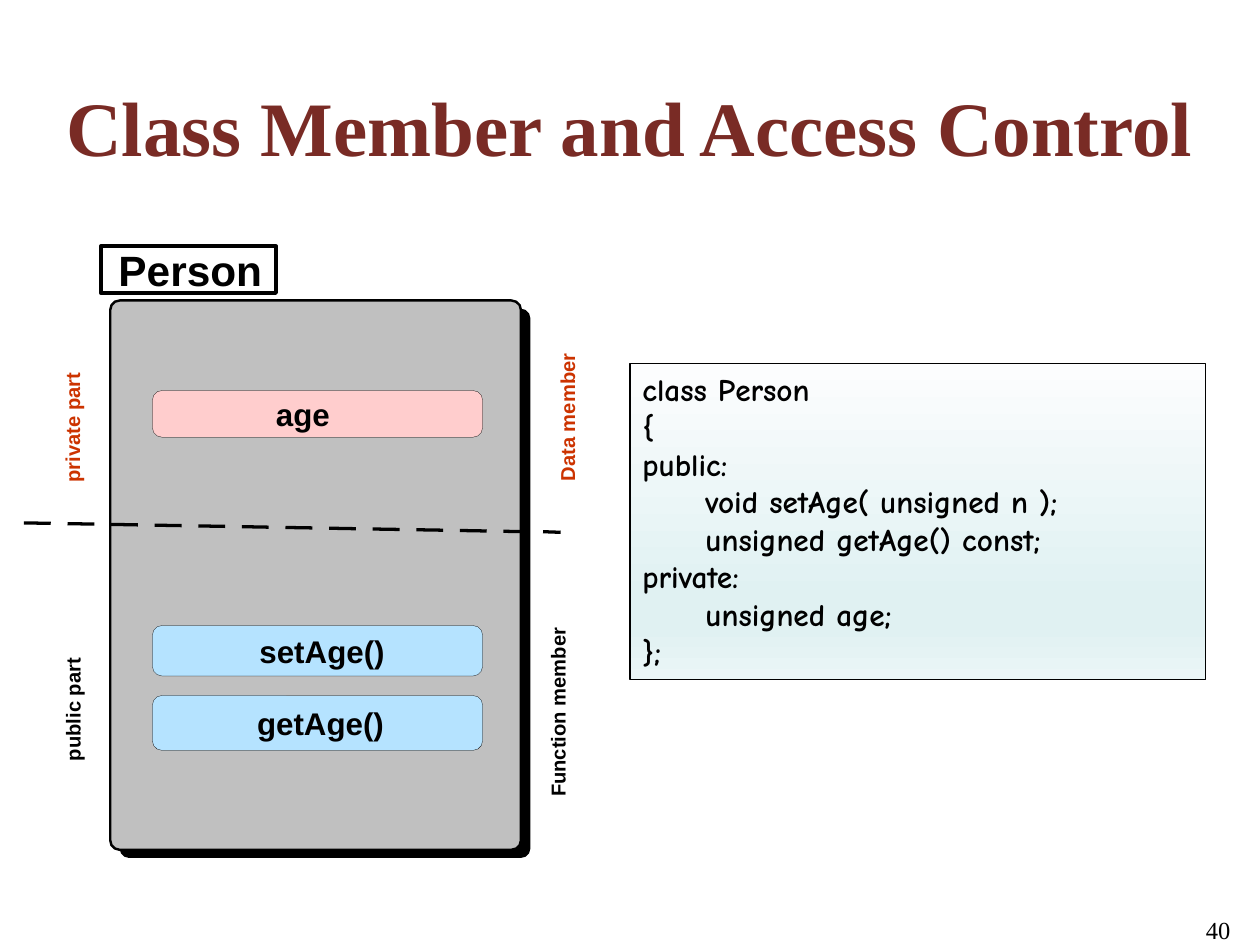
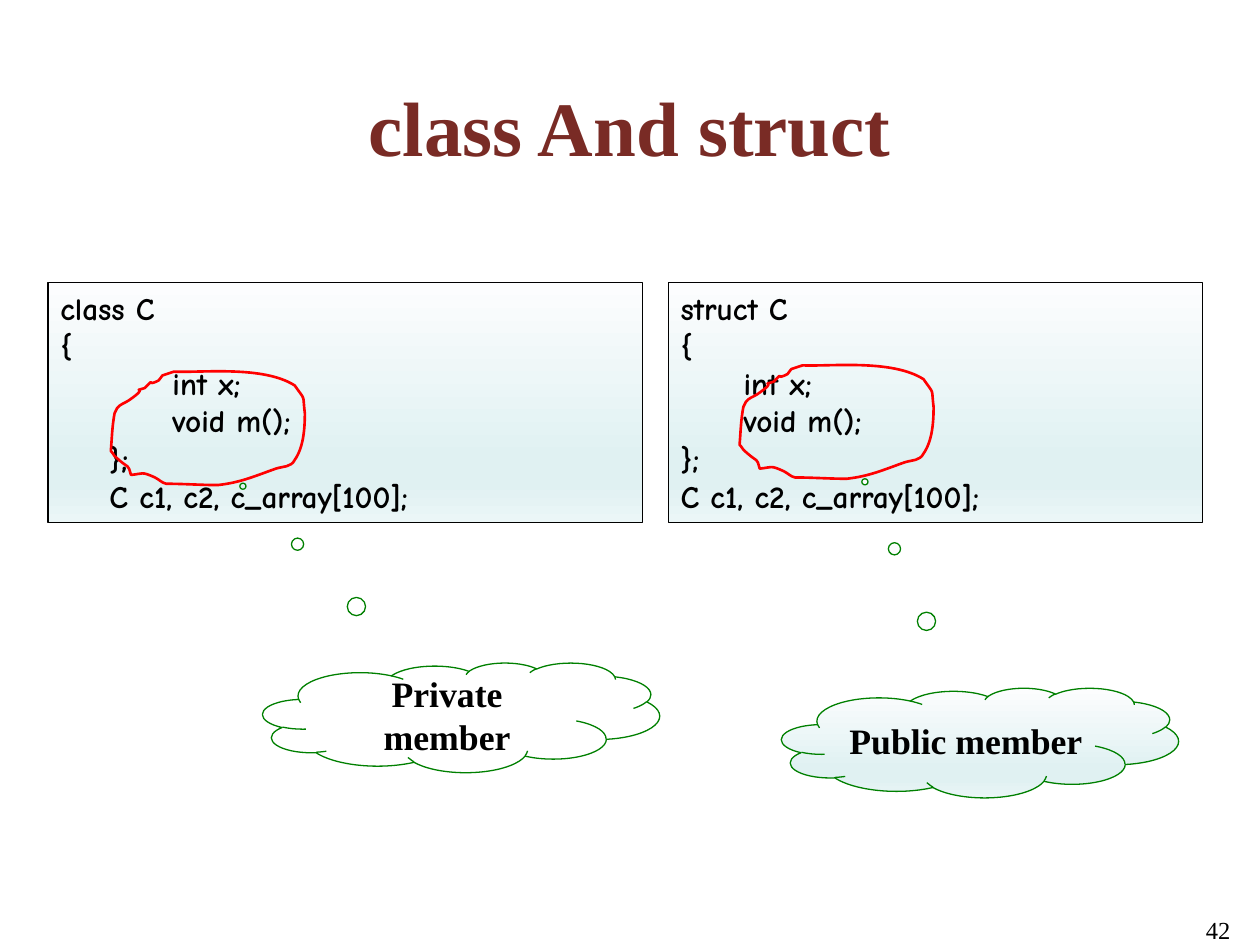
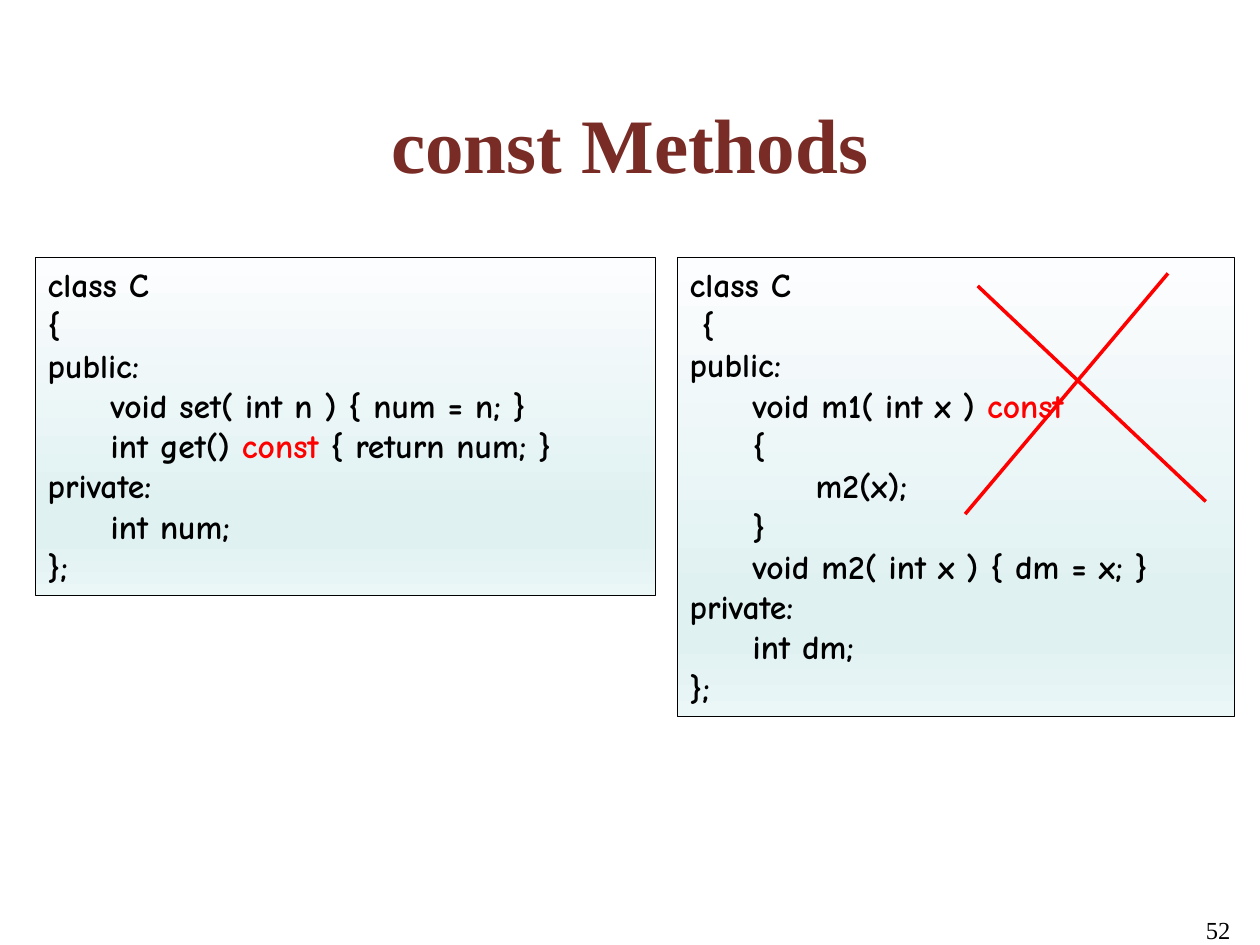
"""Build three slides on class members, access control and const methods."""
from copy import deepcopy

from lxml.etree import SubElement
from pptx import Presentation
from pptx.dml.color import RGBColor
from pptx.enum.shapes import MSO_CONNECTOR, MSO_SHAPE
from pptx.enum.text import MSO_ANCHOR, PP_ALIGN
from pptx.oxml.ns import qn
from pptx.util import Inches, Pt

BLACK = RGBColor(0x00, 0x00, 0x00)
MAROON = RGBColor(0x79, 0x2B, 0x25)
RED = RGBColor(0xFF, 0x00, 0x00)
RUST = RGBColor(0xCC, 0x33, 0x00)
GREEN = RGBColor(0x00, 0x80, 0x00)
GRAY = RGBColor(0xC0, 0xC0, 0xC0)
PINK = RGBColor(0xFF, 0xCD, 0xCD)
BLUE = RGBColor(0xB5, 0xE3, 0xFF)
PALE = RGBColor(0xFC, 0xFD, 0xFE)
MIST = RGBColor(0xE0, 0xF1, 0xF2)
HAZE = RGBColor(0xEB, 0xF6, 0xF7)
SHADE = ((0, PALE), (0.74, MIST), (0.83, MIST), (1, HAZE))

SERIF, SANS, HAND = "Times New Roman", "Arial", "Comic Neue"
COLS, ROWS = 100, 75
STEP = 6.13

LOOP = (
    (13, 77, 16, 84, 3, 72), (2, 70, 0, 68, 0, 68), (1, 56, 1, 49, 3, 38),
    (4, 37, 4, 35, 5, 34), (7, 31, 11, 30, 14, 28), (33, 15, 14, 22, 27, 18),
    (37, 8, 26, 18, 38, 12), (39, 11, 40, 9, 41, 8), (44, 7, 50, 5, 50, 5),
    (72, 6, 121, 0, 146, 16), (155, 29, 152, 22, 154, 38),
    (154, 50, 153, 65, 146, 75), (143, 81, 137, 80, 131, 82),
    (114, 88, 103, 93, 85, 95), (71, 95, 58, 94, 44, 94),
    (40, 93, 39, 91, 35, 89), (24, 84, 26, 86, 16, 87),
)

PERSON = """class Person
{
public:
\tvoid setAge( unsigned n );
\tunsigned getAge() const;
private:
\tunsigned age;
};"""

MEMBERS = """ C
{
\tint x;
\tvoid m();
};
C c1, c2, c_array[100];"""

GOOD = """class C
{
public:
\tvoid set( int n ) { num = n; }
\tint get() const { return num; }
private:
\tint num;
};"""

BAD = """class C
 {
public:
\tvoid m1( int x ) const
\t{
   \t\tm2(x);\t
\t}
\tvoid m2( int x ) { dm = x; }
private:
\tint dm;
};"""


class Deck:
    """Hold the style, the grid and the current slide."""

    def __init__(self):
        """Start an empty deck with its grid."""
        self.prs = Presentation()
        self.prs.slide_width, self.prs.slide_height = Inches(10), Inches(7.5)
        self.col = self.prs.slide_width / COLS
        self.row = self.prs.slide_height / ROWS
        self.slide = None

    def place(self, x, y, w, h):
        """Turn grid units into lengths."""
        return (round(x * self.col), round(y * self.row),
                round(w * self.col), round(h * self.row))

    def style(self, part, size, name, color=BLACK, bold=True):
        """Format the font of a run."""
        font = part.font
        font.size, font.name, font.bold = Pt(size), name, bold
        font.color.rgb = color

    def start(self, title, number, top=6.2):
        """Add a slide with its title and number."""
        self.slide = self.prs.slides.add_slide(self.prs.slide_layouts[5])
        self.text((73.65, 72.1, 25, 5.2), number, 14, SERIF, bold=False,
                  align=PP_ALIGN.RIGHT, inset=(1, 0.5))
        head = self.slide.shapes.title
        head.left, head.top, head.width, head.height = self.place(3.3, top, 93.4, 7.6)
        frame = head.text_frame
        frame.text = title
        frame.vertical_anchor = MSO_ANCHOR.MIDDLE
        para = frame.paragraphs[0]
        para.alignment = PP_ALIGN.CENTER
        self.style(para.runs[0], 44, SERIF, MAROON)

    def text(self, spot, words, size, name=SANS, color=BLACK, bold=True,
             align=PP_ALIGN.LEFT, inset=(0, 0), turn=0):
        """Add one line of text."""
        box = self.slide.shapes.add_textbox(*self.place(*spot))
        box.rotation = turn
        frame = box.text_frame
        frame.word_wrap = False
        side, edge, _, _ = self.place(*inset, 0, 0)
        frame.margin_left = frame.margin_right = side
        frame.margin_top = frame.margin_bottom = edge
        frame.text = words
        para = frame.paragraphs[0]
        para.alignment = align
        self.style(para.runs[0], size, name, color, bold)

    def paint(self, shape, fill=None, line=None, width=0.75):
        """Set the fill and line of a shape."""
        shape.shadow.inherit = False
        if fill is SHADE:
            shape.fill.gradient()
            shape.fill.gradient_angle = 270
            stops = shape._element.spPr.find(".//" + qn("a:gsLst"))
            for _ in SHADE[2:]:
                stops.append(deepcopy(stops[0]))
            for stop, (share, color) in zip(shape.fill.gradient_stops, SHADE):
                stop.position, stop.color.rgb = share, color
        elif fill is not None:
            shape.fill.solid()
            shape.fill.fore_color.rgb = fill
        else:
            shape.fill.background()
        if line is not None:
            shape.line.color.rgb = line
            shape.line.width = Pt(width)
        else:
            shape.line.fill.background()

    def shape(self, kind, spot, fill=None, line=None, width=0.75):
        """Add a preset shape."""
        item = self.slide.shapes.add_shape(kind, *self.place(*spot))
        self.paint(item, fill, line, width)
        return item

    def card(self, spot, fill, width=None):
        """Add a box with small round corners."""
        line = BLACK if width else None
        item = self.shape(MSO_SHAPE.ROUNDED_RECTANGLE, spot, fill, line, width)
        item.adjustments[0] = 0.75 / min(spot[2:])

    def tabs(self, para, push):
        """Set the indent and the tab stops of a paragraph."""
        props = para._p.get_or_add_pPr()
        props.set("marL", str(round(push * self.col)))
        props.set("indent", "0")
        stops = SubElement(props, qn("a:tabLst"))
        for i in (1, 2, 3):
            SubElement(stops, qn("a:tab"), pos=str(round(i * STEP * self.col)), algn="l")

    def code(self, spot, lines, size=17.9, hot=None, push=0, first=0):
        """Add a box of code, with one word in red and some lines pushed in."""
        box = self.shape(MSO_SHAPE.RECTANGLE, spot, SHADE, BLACK)
        frame = box.text_frame
        frame.word_wrap = True
        frame.vertical_anchor = MSO_ANCHOR.TOP
        for i, line in enumerate(lines.split("\n")):
            para = frame.paragraphs[0] if i == 0 else frame.add_paragraph()
            self.tabs(para, push if i >= first else 0)
            para.alignment = PP_ALIGN.LEFT
            for bit in line.partition(hot) if hot else (line,):
                if bit:
                    run = para.add_run()
                    run.text = bit
                    self.style(run, size, HAND, RED if bit == hot else BLACK)

    def line(self, x, y, end, low, color=BLACK, width=1.88):
        """Add a straight line."""
        item = self.slide.shapes.add_connector(
            MSO_CONNECTOR.STRAIGHT, *self.place(x, y, end, low))
        item.line.color.rgb = color
        item.line.width = Pt(width)
        SubElement(item._element.spPr, qn("a:effectLst"))

    def cloud(self, spot, words, tail, fill=None):
        """Add a thought cloud."""
        item = self.shape(MSO_SHAPE.CLOUD_CALLOUT, spot, fill, GREEN)
        item.adjustments[0], item.adjustments[1] = tail
        frame = item.text_frame
        frame.word_wrap = True
        frame.vertical_anchor = MSO_ANCHOR.MIDDLE
        frame.text = words
        para = frame.paragraphs[0]
        para.alignment = PP_ALIGN.CENTER
        self.style(para.runs[0], 20.4, SERIF)

    def loop(self, x, y):
        """Draw a red loop by hand, with each side bent into a curve."""
        unit = self.col / 10
        pen = self.slide.shapes.build_freeform(*LOOP[-1][-2:], scale=unit)
        pen.add_line_segments([bend[-2:] for bend in LOOP], close=True)
        item = pen.convert_to_shape(*self.place(x, y, 0, 0)[:2])
        sides = item._element.spPr.findall(".//" + qn("a:lnTo"))
        for side, bend in zip(sides, LOOP):
            side.tag = qn("a:cubicBezTo")
            side.clear()
            for a, b in zip(bend[::2], bend[1::2]):
                SubElement(side, qn("a:pt"), x=str(a), y=str(b - 5))
        self.paint(item, None, RED, 1.5)


def access(deck):
    """Show the parts of a class."""
    deck.start("Class Member and Access Control", "40")
    deck.code((50, 28.85, 45.7, 25.1), PERSON)
    deck.card((9.5, 24.5, 32.6, 43.6), BLACK)
    deck.card((8.75, 23.85, 32.6, 43.6), GRAY, 1.38)
    for name, top, tall, fill, left, wide, base in (
            ("age", 31, 3.7, PINK, 21.9, 4.3, 31.4),
            ("setAge()", 49.65, 4, BLUE, 20.6, 10, 50.2),
            ("getAge()", 55.2, 4.35, BLUE, 20.4, 10.2, 55.9)):
        deck.card((12.1, top, 26.2, tall), fill, 0.13)
        deck.text((left, base, wide, 3), name, 17.9)
    pitch, dash, slope = 3.46, 2.13, 0.7 / 40
    for i in range(12):
        x = 1.9 + i * pitch
        y = 41.5 + i * pitch * slope
        end = min(x + dash, 41.3)
        deck.line(x, y, end, y + (end - x) * slope)
    deck.line(43.1, 42.2, 44.5, 42.25)
    deck.shape(MSO_SHAPE.RECTANGLE, (8, 19.55, 13.9, 3.7), None, BLACK, 2.25)
    deck.text((9.4, 19.4, 11.5, 4.1), "Person", 24.2)
    for name, x, y, wide, color in (
            ("private part", 1.3, 32.95, 8.8, RUST),
            ("public part", 1.6, 55.3, 8.3, BLACK),
            ("Data member", 39.9, 32.15, 10.2, RUST),
            ("Function member", 37.5, 55.55, 13.5, BLACK)):
        deck.text((x, y, wide, 1.9), name, 11.5, color=color, turn=270)


def kinds(deck):
    """Compare class and struct."""
    deck.start("class And struct", "42")
    deck.code((3.8, 22.45, 47.2, 19), "class" + MEMBERS, push=3.9, first=2)
    deck.code((53.03, 22.45, 42.4, 19), "struct" + MEMBERS)
    deck.cloud((20.85, 52.6, 31.5, 8.7), "Private member", (-0.55, -2.11))
    deck.loop(8.8, 29)
    deck.cloud((62.03, 54.6, 31.5, 8.7), "Public member", (-0.29, -2.38), SHADE)
    deck.loop(58.7, 28.5)


def consts(deck):
    """Show a right and a wrong const method."""
    deck.start("const Methods", "52", 7.5)
    deck.code((2.8, 20.45, 49.2, 26.8), GOOD, 19.2, "const ")
    deck.code((53.75, 20.45, 44.2, 36.4), BAD, 19.2, "const")
    deck.line(77.6, 22.7, 95.7, 39.8, RED, 2)
    deck.line(92.7, 21.7, 76.6, 40.8, RED, 2)


def main():
    """Build and save the deck."""
    deck = Deck()
    for build in (access, kinds, consts):
        build(deck)
    deck.prs.save("out.pptx")


if __name__ == "__main__":
    main()
